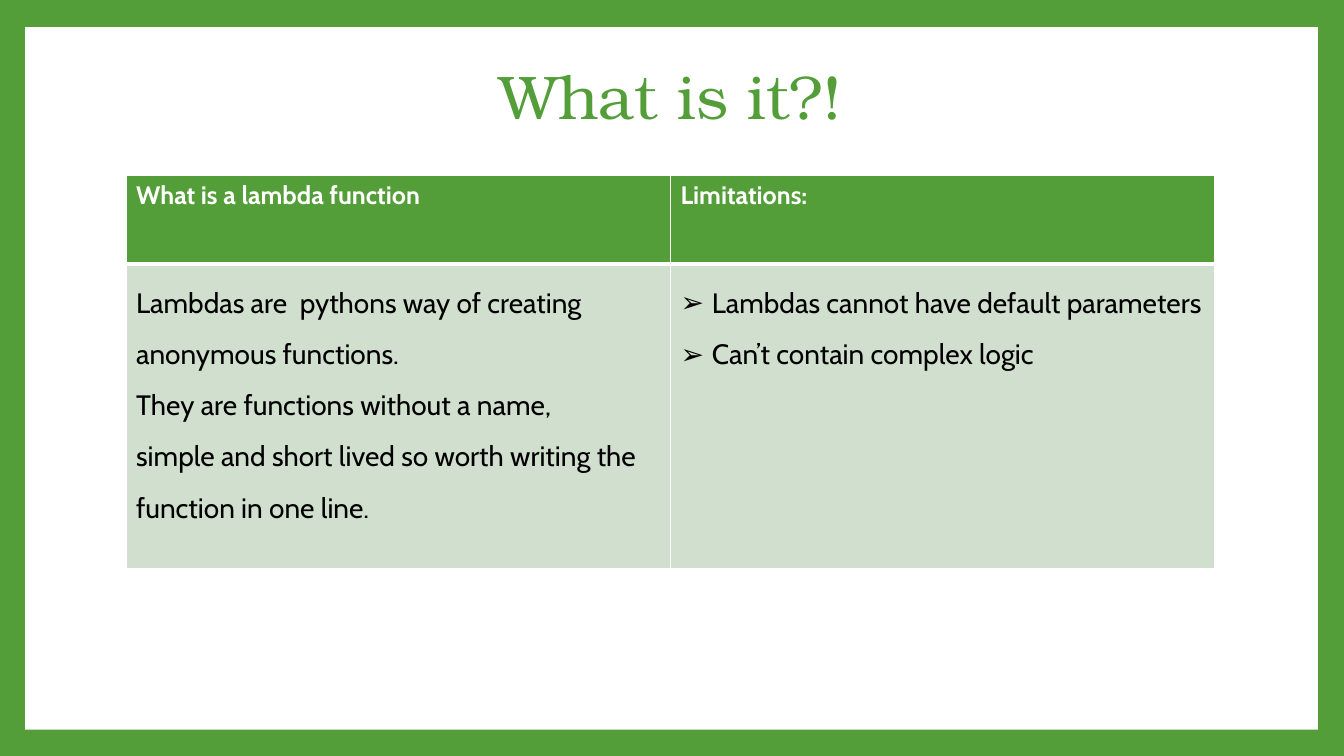
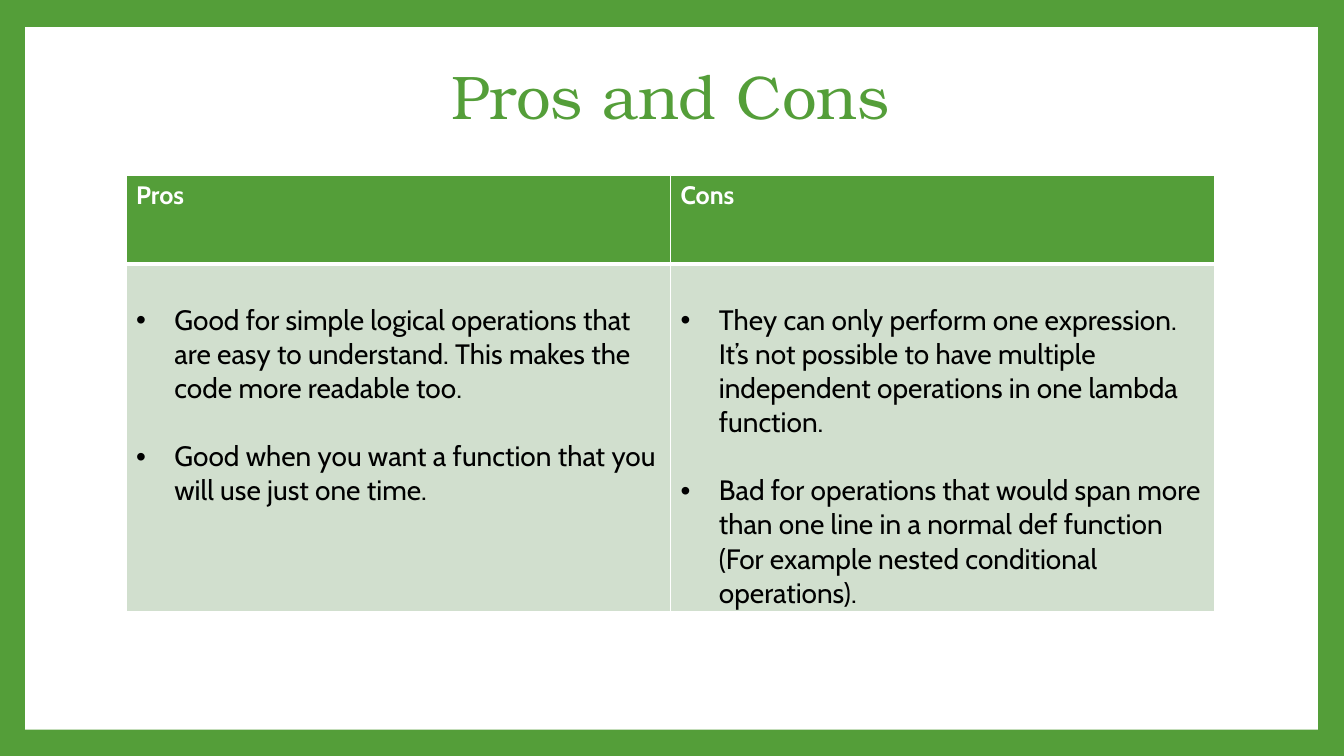
from lxml.etree import SubElement
from pptx import Presentation
from pptx.dml.color import RGBColor
from pptx.enum.shapes import MSO_SHAPE
from pptx.enum.text import MSO_ANCHOR, PP_ALIGN
from pptx.oxml.ns import qn
from pptx.util import Inches, Pt

GREEN = RGBColor(0x54, 0x9E, 0x39)
PALE_GREEN = RGBColor(0xD1, 0xDF, 0xCE)
WHITE = RGBColor(0xFF, 0xFF, 0xFF)
BLACK = RGBColor(0, 0, 0)
TITLE_FONT, BODY_FONT = "TeX Gyre Bonum", "Cabin"

SLIDE_W, SLIDE_H = 13.33, 7.5
PANEL = (0.25, 0.27, 12.82, 6.97)
LEFT, CONTENT_W = 1.25, 10.8
TITLE_TOP, TITLE_H = 0.25, 1.48
TABLE_TOP, HEADER_H = 1.74, 0.88
CELL_INSET = 0.05

SLIDES = [
    {
        "title": "What is it?!",
        "body_height": 3.02,
        "line_spacing": 1.5,
        "blank_line": 0,
        "columns": [
            {
                "heading": "What is a lambda function",
                "bullet": None,
                "points": [
                    "Lambdas are  pythons way of creating anonymous functions.",
                    "They are functions without a name,",
                    "simple and short lived so worth writing the function in one line.",
                ],
            },
            {
                "heading": "Limitations:",
                "bullet": ("➢", 0.31),
                "points": [
                    "Lambdas cannot have default parameters",
                    "Can’t contain complex logic",
                ],
            },
        ],
    },
    {
        "title": "Pros and Cons",
        "body_height": 3.44,
        "line_spacing": 1.0,
        "blank_line": 24.3,
        "columns": [
            {
                "heading": "Pros",
                "bullet": ("•", 0.38),
                "points": [
                    "Good for simple logical operations that are easy to understand. "
                    "This makes the code more readable too.",
                    "Good when you want a function that you will use just one time.",
                ],
            },
            {
                "heading": "Cons",
                "bullet": ("•", 0.38),
                "points": [
                    "They can only perform one expression. It’s not possible to have "
                    "multiple independent operations in one lambda function.",
                    "Bad for operations that would span more than one line in a "
                    "normal def function (For example nested conditional operations).",
                ],
            },
        ],
    },
]


def style(paragraph, font_name, size, color, bold=False):
    for run in paragraph.runs:
        run.font.name = font_name
        run.font.size = Pt(size)
        run.font.color.rgb = color
        run.font.bold = bold


def add_bullet(paragraph, symbol, indent):
    properties = paragraph._p.get_or_add_pPr()
    properties.set("marL", str(Inches(indent)))
    properties.set("indent", str(-Inches(indent)))
    SubElement(properties, qn("a:buFont"), typeface="Arial")
    SubElement(properties, qn("a:buChar"), char=symbol)


def dress_cell(cell, color, top, bottom):
    properties = cell._tc.get_or_add_tcPr()
    for side, width in (("L", 1), ("R", 1), ("T", top), ("B", bottom)):
        border = SubElement(properties, qn(f"a:ln{side}"), w=str(Pt(width)))
        paint = SubElement(border, qn("a:solidFill"))
        SubElement(paint, qn("a:srgbClr"), val=str(WHITE))
    cell.fill.solid()
    cell.fill.fore_color.rgb = color


def add_frame(slide):
    panel = slide.shapes.add_shape(MSO_SHAPE.RECTANGLE, *map(Inches, PANEL))
    panel.shadow.inherit = False
    panel.fill.solid()
    panel.fill.fore_color.rgb = WHITE
    panel.line.fill.background()


def add_title(slide, text):
    box = (LEFT, TITLE_TOP, CONTENT_W, TITLE_H)
    frame = slide.shapes.add_textbox(*map(Inches, box)).text_frame
    frame.word_wrap = True
    frame.vertical_anchor = MSO_ANCHOR.MIDDLE
    frame.text = text
    heading = frame.paragraphs[0]
    heading.alignment = PP_ALIGN.CENTER
    heading.line_spacing = 0.9
    style(heading, TITLE_FONT, 44, GREEN)


def fill_body(cell, column, line_spacing, blank_line):
    cell.margin_top = Inches(CELL_INSET) + Pt(blank_line)
    cell.text_frame.text = "\n".join(column["points"])
    for index, point in enumerate(cell.text_frame.paragraphs):
        point.line_spacing = line_spacing
        if index:
            point.space_before = Pt(blank_line)
        if column["bullet"]:
            add_bullet(point, *column["bullet"])
        style(point, BODY_FONT, 20, BLACK)


def add_comparison(slide, content):
    columns = content["columns"]
    heights = (HEADER_H, content["body_height"])
    box = (LEFT, TABLE_TOP, CONTENT_W, sum(heights))
    table = slide.shapes.add_table(2, len(columns), *map(Inches, box)).table
    for row, height in zip(table.rows, heights):
        row.height = Inches(height)
    for index, column in enumerate(columns):
        table.columns[index].width = Inches(CONTENT_W / len(columns))
        header, body = table.cell(0, index), table.cell(1, index)
        dress_cell(header, GREEN, 1, 3)
        dress_cell(body, PALE_GREEN, 3, 1)
        header.text_frame.text = column["heading"]
        style(header.text_frame.paragraphs[0], BODY_FONT, 18, WHITE, True)
        fill_body(body, column, content["line_spacing"], content["blank_line"])


def main():
    deck = Presentation()
    deck.slide_width, deck.slide_height = Inches(SLIDE_W), Inches(SLIDE_H)
    backdrop = deck.slide_master.background.fill
    backdrop.solid()
    backdrop.fore_color.rgb = GREEN
    for content in SLIDES:
        slide = deck.slides.add_slide(deck.slide_layouts[6])
        add_frame(slide)
        add_title(slide, content["title"])
        add_comparison(slide, content)
    deck.save("out.pptx")


if __name__ == "__main__":
    main()
